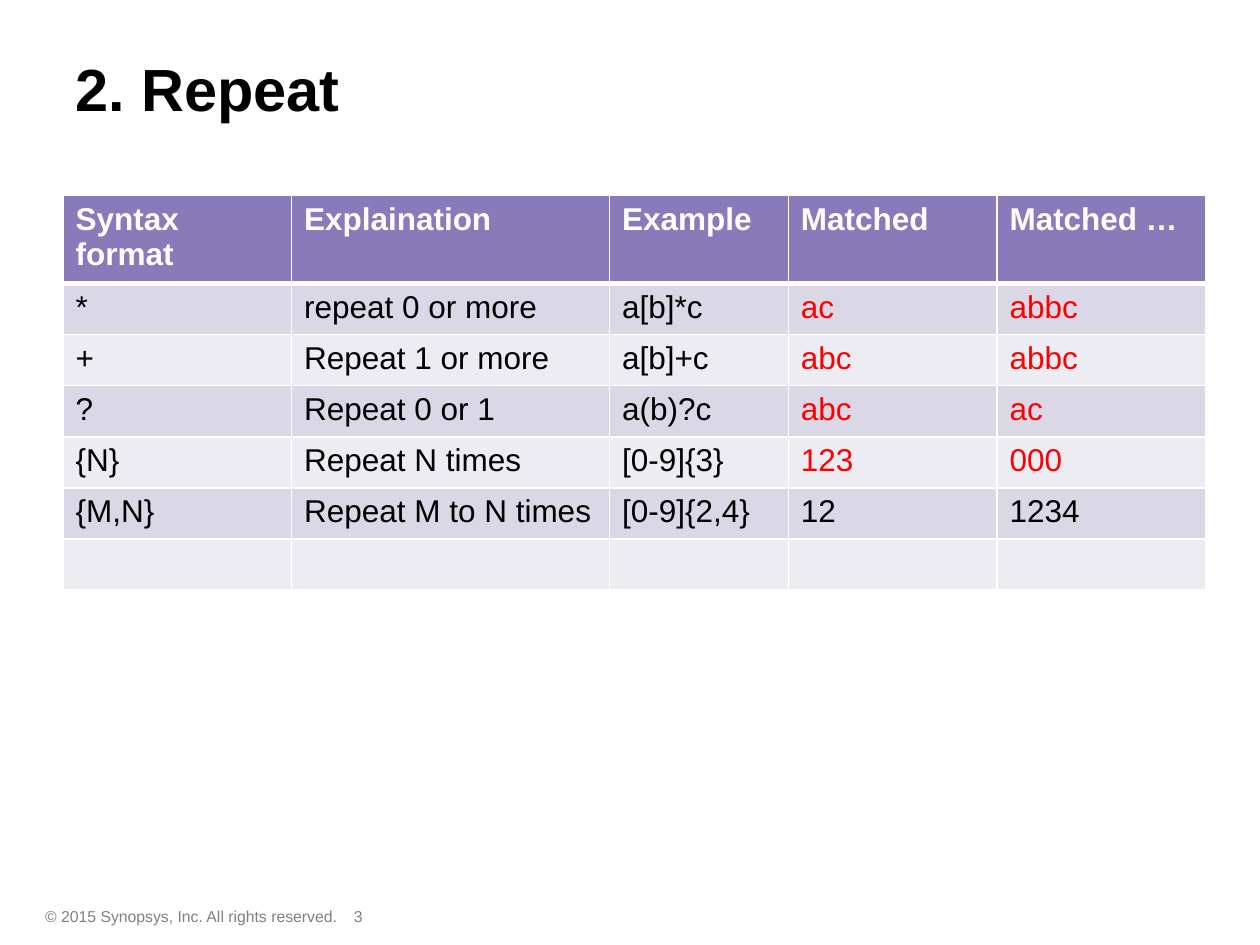
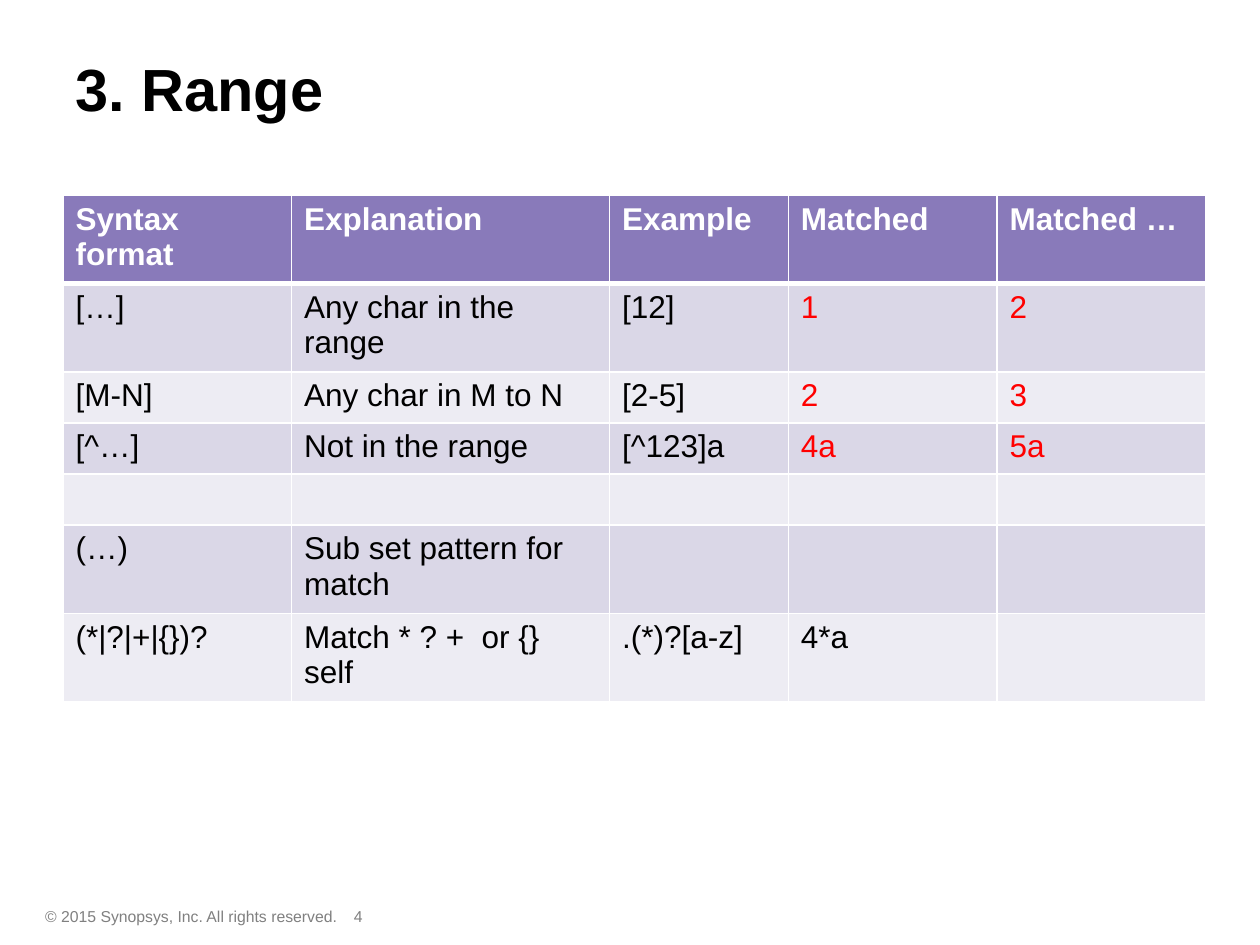
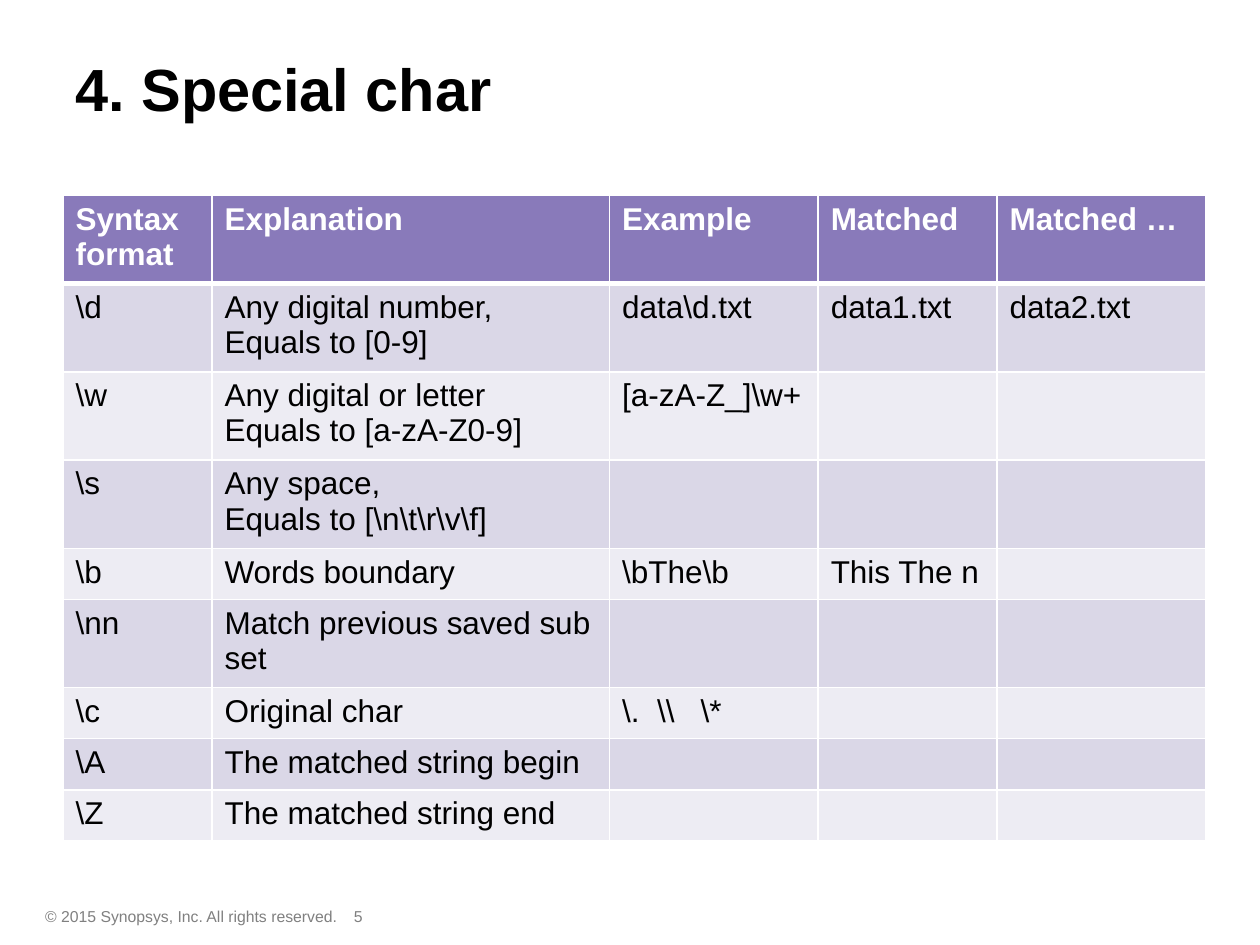
from dataclasses import dataclass

from lxml.etree import SubElement
from pptx import Presentation
from pptx.dml.color import RGBColor
from pptx.enum.text import MSO_ANCHOR, PP_ALIGN
from pptx.oxml.ns import qn
from pptx.util import Inches, Pt

WHITE = RGBColor(0xFF, 0xFF, 0xFF)
BLACK = RGBColor(0x00, 0x00, 0x00)
RED = RGBColor(0xFF, 0x00, 0x00)
GRAY = RGBColor(0x80, 0x80, 0x80)
PURPLE = RGBColor(0x89, 0x7A, 0xBA)
BANDS = (RGBColor(0xDA, 0xD7, 0xE7), RGBColor(0xED, 0xEC, 0xF3))

FONT = "Arial"
COPYRIGHT = "© 2015 Synopsys, Inc. All rights reserved."
FIRST_PAGE = 3

TABLE_LEFT, TABLE_TOP, TABLE_WIDTH = Inches(0.5), Inches(1.55), Inches(9.07)
GRID_COLUMNS = 115
ROW_HEIGHTS = {1: Pt(29.2), 2: Pt(50.4)}  # by number of text lines
MATCH_COLUMN = 3  # results of a match start here


@dataclass(frozen=True)
class Row:
    cells: tuple[str, ...] = ()
    lines: int = 1
    red_matches: bool = False


@dataclass(frozen=True)
class SyntaxSlide:
    title: str
    explanation_header: str
    spans: tuple[int, ...]
    rows: tuple[Row, ...]


SLIDES = (
    SyntaxSlide("2. Repeat", "Explaination", (23, 32, 18, 21, 21), (
        Row(("*", "repeat 0 or more", "a[b]*c", "ac", "abbc"), red_matches=True),
        Row(("+", "Repeat 1 or more", "a[b]+c", "abc", "abbc"), red_matches=True),
        Row(("?", "Repeat 0 or 1", "a(b)?c", "abc", "ac"), red_matches=True),
        Row(("{N}", "Repeat N times", "[0-9]{3}", "123", "000"), red_matches=True),
        Row(("{M,N}", "Repeat M to N times", "[0-9]{2,4}", "12", "1234")),
        Row(),
    )),
    SyntaxSlide("3. Range", "Explanation", (23, 32, 18, 21, 21), (
        Row(("[…]", "Any char in the range", "[12]", "1", "2"), 2, True),
        Row(("[M-N]", "Any char in M to N", "[2-5]", "2", "3"), red_matches=True),
        Row(("[^…]", "Not in the range", "[^123]a", "4a", "5a"), red_matches=True),
        Row(),
        Row(("(…)", "Sub set pattern for match"), 2),
        Row(("(*|?|+|{})?", "Match * ? +  or {} self", ".(*)?[a-z]", "4*a")),
    )),
    SyntaxSlide("4. Special char", "Explanation", (15, 40, 21, 18, 21), (
        Row((r"\d", "Any digital number,\nEquals to [0-9]",
             r"data\d.txt", "data1.txt", "data2.txt"), 2),
        Row((r"\w", "Any digital or letter\nEquals to [a-zA-Z0-9]", r"[a-zA-Z_]\w+"), 2),
        Row((r"\s", "Any space,\n" + r"Equals to [\n\t\r\v\f]"), 2),
        Row((r"\b", "Words boundary", r"\bThe\b", "This The n")),
        Row((r"\nn", "Match previous saved sub set"), 2),
        Row((r"\c", "Original char", r"\.  \\   \*")),
        Row((r"\A", "The matched string begin")),
        Row((r"\Z", "The matched string end")),
    )),
)


def style_text(text_frame, size: float, color: RGBColor, bold: bool = False) -> None:
    for paragraph in text_frame.paragraphs:
        paragraph.alignment = PP_ALIGN.LEFT
        font = paragraph.font
        font.name, font.size, font.bold = FONT, Pt(size), bold
        font.color.rgb = color


def add_title(slide, text: str) -> None:
    title = slide.shapes.title
    title.left, title.top = Inches(0.5), Inches(0.07)
    title.width, title.height = Inches(9.5), Inches(1.25)
    title.text_frame.text = text
    title.text_frame.vertical_anchor = MSO_ANCHOR.MIDDLE
    style_text(title.text_frame, 34, BLACK, bold=True)


def add_footer(slide, page: int) -> None:
    for text, left, width in ((COPYRIGHT, 0.26, 3.08), (str(page), 2.71, 0.7)):
        box = slide.shapes.add_textbox(Inches(left), Inches(7.15), Inches(width), Inches(0.25))
        box.text_frame.word_wrap = True
        box.text_frame.text = text
        style_text(box.text_frame, 9, GRAY)


def add_borders(cell, top: float, bottom: float) -> None:
    """Draw white cell borders; top and bottom widths are in points."""
    properties = cell._tc.get_or_add_tcPr()
    for side, width in (("L", 1), ("R", 1), ("T", top), ("B", bottom)):
        line = SubElement(properties, qn(f"a:ln{side}"), w=str(Pt(width)))
        fill = SubElement(line, qn("a:solidFill"))
        SubElement(fill, qn("a:srgbClr"), val=str(WHITE))


def add_syntax_table(slide, content: SyntaxSlide) -> None:
    header = Row(("Syntax format", content.explanation_header,
                  "Example", "Matched", "Matched …"), 2)
    rows = (header, *content.rows)
    heights = [ROW_HEIGHTS[row.lines] for row in rows]
    table = slide.shapes.add_table(len(rows), len(content.spans), TABLE_LEFT, TABLE_TOP,
                                   TABLE_WIDTH, sum(heights)).table
    table.horz_banding = False
    for column, span in zip(table.columns, content.spans):
        column.width = TABLE_WIDTH * span // GRID_COLUMNS
    for row_index, (row, height) in enumerate(zip(rows, heights)):
        table.rows[row_index].height = height
        is_header = row_index == 0
        for column_index in range(len(content.spans)):
            cell = table.cell(row_index, column_index)
            if column_index < len(row.cells):
                cell.text = row.cells[column_index]
            add_borders(cell, 3 if row_index == 1 else 1, 3 if is_header else 1)
            cell.fill.solid()
            cell.fill.fore_color.rgb = PURPLE if is_header else BANDS[(row_index - 1) % 2]
            is_red = row.red_matches and column_index >= MATCH_COLUMN
            color = WHITE if is_header else RED if is_red else BLACK
            style_text(cell.text_frame, 18, color, bold=is_header)


def main() -> None:
    presentation = Presentation()
    presentation.slide_width, presentation.slide_height = Inches(10), Inches(7.5)
    title_only = presentation.slide_layouts.get_by_name("Title Only")
    for page, content in enumerate(SLIDES, start=FIRST_PAGE):
        slide = presentation.slides.add_slide(title_only)
        add_footer(slide, page)
        add_syntax_table(slide, content)
        add_title(slide, content.title)
    presentation.save("out.pptx")


if __name__ == "__main__":
    main()
